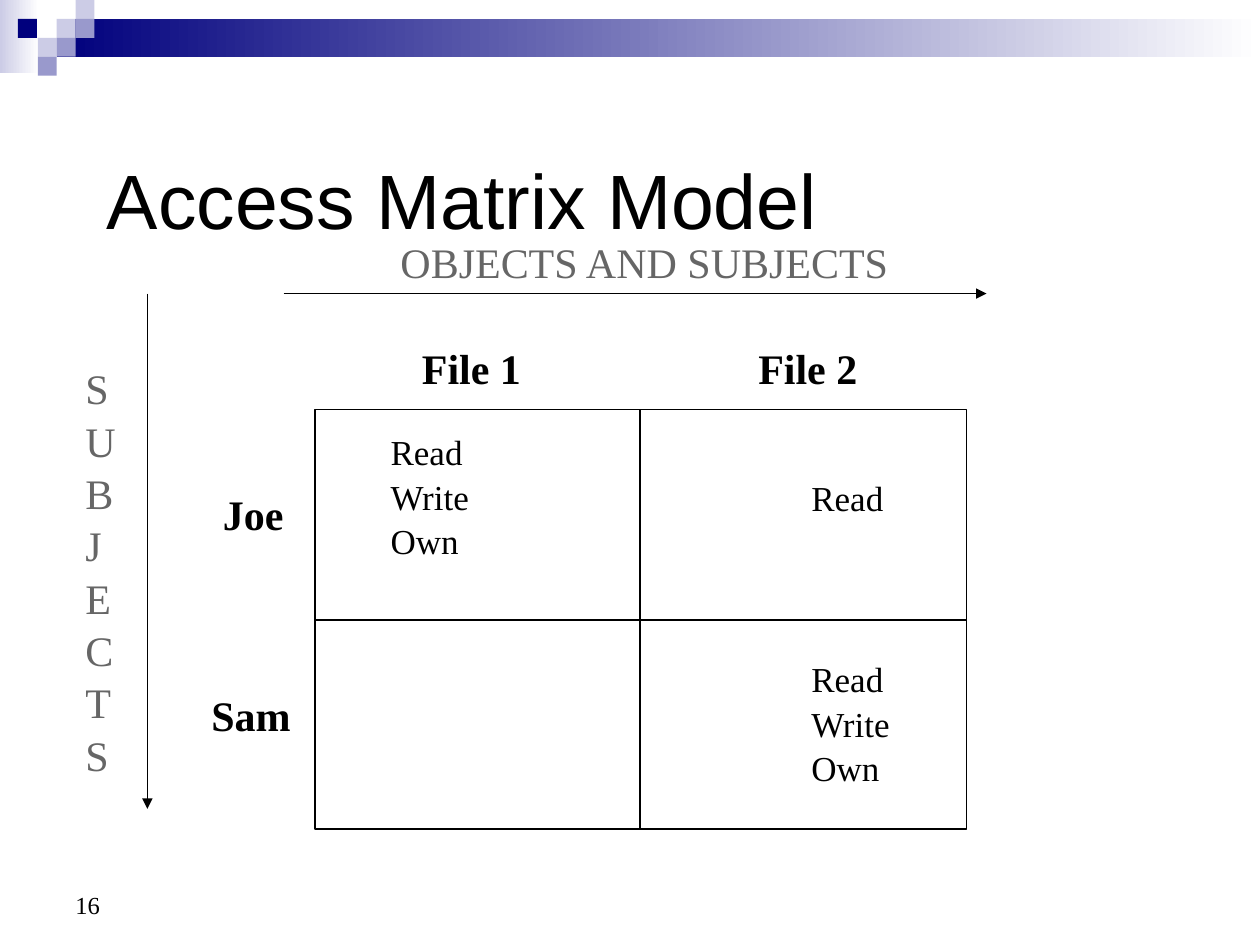
from lxml.etree import SubElement
from pptx import Presentation
from pptx.dml.color import RGBColor
from pptx.enum.shapes import MSO_CONNECTOR, MSO_SHAPE
from pptx.enum.text import MSO_ANCHOR
from pptx.oxml.ns import qn
from pptx.util import Inches, Pt

COLORS = {
    "navy": "00007D",
    "violet": "9999CC",
    "lavender": "CCCCE6",
    "white": "FFFFFF",
    "black": "000000",
    "gray": "666666",
}
SERIF = "Times New Roman"

deck = Presentation()
deck.slide_width = Inches(10)
deck.slide_height = Inches(7.5)
page = deck.slides.add_slide(deck.slide_layouts[6])


def add_text(lines, left, top, width, height, size, color="black", font=SERIF,
             bold=False, anchor=MSO_ANCHOR.TOP, wrap=False, gap=0):
    box = page.shapes.add_textbox(Inches(left), Inches(top), Inches(width), Inches(height))
    frame = box.text_frame
    frame.word_wrap = wrap
    frame.vertical_anchor = anchor
    frame.text = "\n".join(lines)
    for index, para in enumerate(frame.paragraphs):
        if index:
            para.space_before = Pt(gap)
        for span in para.runs:
            span.font.name = font
            span.font.size = Pt(size)
            span.font.bold = bold
            span.font.color.rgb = RGBColor.from_string(COLORS[color])


def add_line(start_x, start_y, end_x, end_y, arrow=False):
    connector = page.shapes.add_connector(
        MSO_CONNECTOR.STRAIGHT, Inches(start_x), Inches(start_y), Inches(end_x), Inches(end_y))
    connector.line.width = Pt(0.75)
    connector.line.color.rgb = RGBColor.from_string(COLORS["black"])
    if arrow:
        SubElement(connector.line._get_or_add_ln(), qn("a:tailEnd"), type="triangle")
    SubElement(connector._element.spPr, qn("a:effectLst"))


for left, top, width, height, color in [
    (0, 0, 0.31, 0.58, "lavender"),
    (0.45, 0.15, 9.55, 0.3, "navy"),
]:
    band = page.shapes.add_shape(
        MSO_SHAPE.RECTANGLE, Inches(left), Inches(top), Inches(width), Inches(height))
    band.shadow.inherit = False
    band.line.fill.background()
    band.fill.gradient()
    band.fill.gradient_angle = 0
    for stop, position, name in zip(band.fill.gradient_stops, (0, 1), (color, "white")):
        stop.position = position
        stop.color.rgb = RGBColor.from_string(COLORS[name])

TILE = 0.15
for column, row, color in [
    (3, 1, "lavender"), (4, 0, "lavender"), (4, 1, "violet"), (2, 2, "lavender"),
    (0.95, 1, "navy"), (3, 2, "violet"), (2, 3, "violet"),
]:
    tile = page.shapes.add_shape(
        MSO_SHAPE.RECTANGLE, Inches(column * TILE), Inches(row * TILE), Inches(TILE), Inches(TILE))
    tile.shadow.inherit = False
    tile.line.fill.background()
    tile.fill.solid()
    tile.fill.fore_color.rgb = RGBColor.from_string(COLORS[color])

add_text(["16"], 0.5, 6.83, 2.33, 0.52, 14, anchor=MSO_ANCHOR.BOTTOM, wrap=True)
add_text(["Access Matrix Model"], 0.75, 1.25, 8.5, 0.66, 44, font="Arial",
         anchor=MSO_ANCHOR.MIDDLE, wrap=True)

matrix = page.shapes.add_table(
    4, 4, Inches(1.33), Inches(2.83), Inches(6.67), Inches(3.6)).table
matrix.first_row = False
matrix.horz_banding = False
for column in matrix.columns:
    column.width = Inches(1.67)
for row, height in zip(matrix.rows, (0.57, 1.23, 0.57, 1.23)):
    row.height = Inches(height)
for cell in matrix.iter_cells():
    cell.fill.background()

for row, column, rights, margin in [
    (1, 1, ["Read", "Write", "Own"], 0.05),
    (1, 3, ["Read"], 0.41),
    (3, 3, ["Read", "Write", "Own"], 0.05),
]:
    cell = matrix.cell(row, column)
    cell.margin_top = Inches(margin)
    cell.text_frame.text = "\n".join(rights)
    for index, para in enumerate(cell.text_frame.paragraphs):
        if index:
            para.space_before = Pt(3.2)
        para.font.name = SERIF
        para.font.size = Pt(20)
        para.font.color.rgb = RGBColor.from_string(COLORS["black"])

add_text(["OBJECTS AND SUBJECTS"], 3.08, 1.83, 4.09, 0.5, 24, "gray")
add_text(list("SUBJECTS"), 0.58, 2.83, 0.45, 3.74, 24, "gray", gap=1.1)

for label, left, top, width in [
    ("Joe", 1.67, 3.83, 0.68),
    ("Sam", 1.58, 5.42, 0.83),
    ("File 1", 3.25, 2.67, 0.99),
    ("File 2", 5.92, 2.67, 0.99),
]:
    add_text([label], left, top, width, 0.5, 24, bold=True)

add_line(2.25, 2.33, 7.83, 2.33, arrow=True)
add_line(1.17, 2.33, 1.17, 6.42, arrow=True)

border = page.shapes.add_shape(
    MSO_SHAPE.RECTANGLE, Inches(2.5), Inches(3.25), Inches(5.17), Inches(3.33))
border.shadow.inherit = False
border.fill.background()
border.line.width = Pt(0.75)
border.line.color.rgb = RGBColor.from_string(COLORS["black"])
add_line(5.08, 3.25, 5.08, 6.58)
add_line(2.5, 4.92, 7.67, 4.92)

deck.save("out.pptx")
